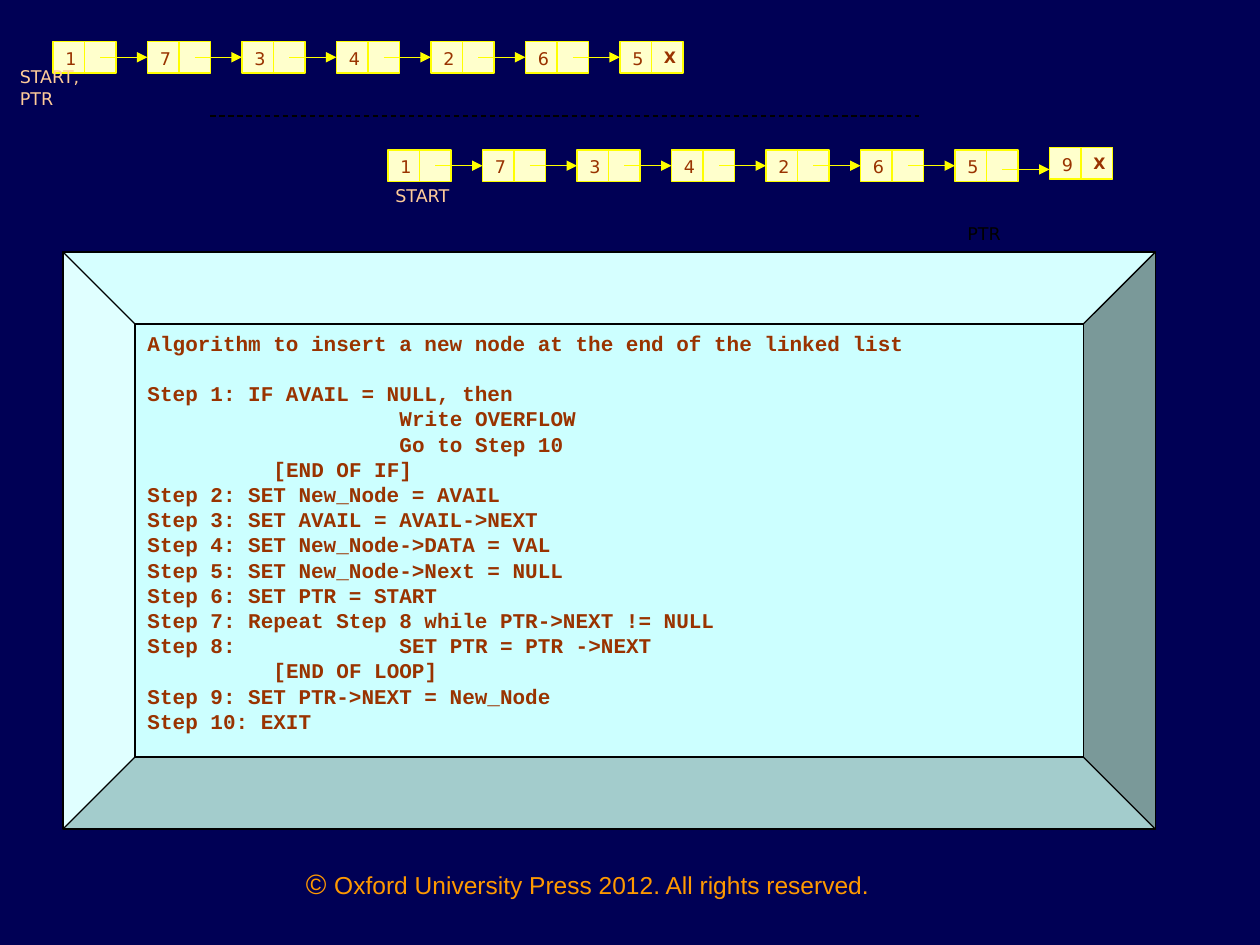
from lxml import etree
from pptx import Presentation
from pptx import util as u
from pptx.dml.color import RGBColor
from pptx.enum import dml, shapes, text
from pptx.oxml.ns import qn

HUES = {"back": "000055", "panel": "CCFFFF", "cell": "FFFFCC", "edge": "FFFF00",
        "ink": "993300", "label": "FFCC99", "foot": "FF9900", "black": "000000"}
CELL = 0.25
STEP = 3 * CELL
SANS = "DejaVu Sans"
STEPS = [
    "Algorithm to insert a new node at the end of the linked list",
    "Step 1: IF AVAIL = NULL, then",
    "\t\tWrite OVERFLOW",
    "\t\tGo to Step 10",
    "\t[END OF IF]",
    "Step 2: SET New_Node = AVAIL",
    "Step 3: SET AVAIL = AVAIL->NEXT",
    "Step 4: SET New_Node->DATA = VAL",
    "Step 5: SET New_Node->Next = NULL",
    "Step 6: SET PTR = START",
    "Step 7: Repeat Step 8 while PTR->NEXT != NULL",
    "Step 8: \t\tSET PTR = PTR ->NEXT",
    "\t[END OF LOOP]",
    "Step 9: SET PTR->NEXT = New_Node",
    "Step 10: EXIT",
]


def hue(name):
    return RGBColor.from_string(HUES[name])


def write(para, words, color, **form):
    run = para.add_run()
    run.text = words
    run.font.color.rgb = hue(color)
    for key, value in form.items():
        setattr(run.font, key, value)


def block(parent, kind, box, fill, edge):
    shape = parent.add_shape(kind, *map(u.Inches, box))
    shape.shadow.inherit = False
    shape.fill.solid()
    shape.fill.fore_color.rgb = hue(fill)
    shape.line.color.rgb = hue(edge)
    shape.line.width = u.Pt(0.75)
    shape.text_frame.vertical_anchor = text.MSO_ANCHOR.TOP
    shape.text_frame.paragraphs[0].alignment = text.PP_ALIGN.LEFT
    return shape


def cell(parent, left, top, words="", size=10, bold=False):
    shape = block(parent, shapes.MSO_SHAPE.RECTANGLE, (left, top, CELL, CELL), "cell", "edge")
    if words:
        shape.text_frame.word_wrap = False
        write(shape.text_frame.paragraphs[0], words, "ink",
              name=SANS, size=u.Pt(size), bold=bold)
    return shape


def line(parent, start, end, color):
    link = parent.add_connector(shapes.MSO_CONNECTOR.STRAIGHT, *map(u.Inches, start + end))
    link.line.color.rgb = hue(color)
    link.line.width = u.Pt(0.75)
    etree.SubElement(link._element.spPr, qn("a:effectLst"))
    return link


def arrow(parent, start, end):
    link = line(parent, start, end, "edge")
    etree.SubElement(link.line._get_or_add_ln(), qn("a:tailEnd"), type="triangle")
    return link


def chain(slide, left, top, data, shift=0.0, drop=0.0):
    """Draw a linked list; the last node moves by shift and its arrow by drop."""
    group = slide.shapes.add_group_shape().shapes
    last = len(data) - 1
    for i, value in enumerate(data):
        x = left + i * STEP
        y = top + (shift if i == last else 0)
        node = cell(group, x, y, value)
        if i == last:
            cell(group, x + CELL, y, "X", 9, True)
        else:
            cell(group, x + CELL, y)
        if i:
            mid = top + CELL / 2 + (drop if i == last else 0)
            link = arrow(group, (x - 1.5 * CELL, mid), (x, mid))
            if i < last or not drop:
                link.end_connect(node, 1)


def label(slide, box, parts, color, wrap=True, **form):
    """Add a text box; parts are pairs of words and point size."""
    frame = slide.shapes.add_textbox(*map(u.Inches, box)).text_frame
    frame.word_wrap = wrap
    frame.vertical_anchor = text.MSO_ANCHOR.MIDDLE
    for words, size in parts:
        write(frame.paragraphs[0], words, color, size=u.Pt(size), **form)
    return frame


def tabs(para):
    """Set a left tab stop at every inch."""
    stops = etree.SubElement(para._p.get_or_add_pPr(), qn("a:tabLst"))
    for inch in range(8):
        etree.SubElement(stops, qn("a:tab"), pos=str(u.Inches(inch)), algn="l")


def panel(slide):
    shape = block(slide.shapes, shapes.MSO_SHAPE.BEVEL, (0.5, 2, 8.67, 4.58), "panel", "black")
    frame = shape.text_frame
    for i, words in enumerate(STEPS):
        para = frame.add_paragraph() if i else frame.paragraphs[0]
        tabs(para)
        para.alignment = text.PP_ALIGN.LEFT
        para.line_spacing = u.Pt(14.4)
        if i == 1:
            para.space_before = u.Pt(14.4)
        write(para, words, "ink", name="Courier New", size=u.Pt(12), bold=True)


def main():
    deck = Presentation()
    deck.slide_width, deck.slide_height = u.Inches(10), u.Inches(7.5)
    slide = deck.slides.add_slide(deck.slide_layouts[6])
    slide.background.fill.solid()
    slide.background.fill.fore_color.rgb = hue("back")

    foot = label(slide, (2, 6.83, 5.33, 0.52),
                 [("© ", 16), ("Oxford University Press 2012. All rights reserved.", 14)],
                 "foot", name="Arial")
    foot.vertical_anchor = text.MSO_ANCHOR.TOP
    foot.paragraphs[0].alignment = text.PP_ALIGN.CENTER

    panel(slide)
    chain(slide, 0.42, 0.33, "1734265")
    label(slide, (0.06, 0.56, 0.9, 0.27), [("START, PTR", 10)], "label", name=SANS)
    rule = line(slide.shapes, (1.67, 0.92), (7.29, 0.92), "black")
    rule.line.dash_style = dml.MSO_LINE.DASH
    chain(slide, 3.08, 1.19, "17342659", shift=-0.02, drop=0.03)
    label(slide, (3.04, 1.42, 0.64, 0.27), [("START", 10)], "label", wrap=False, name=SANS)
    label(slide, (7.58, 1.72, 0.64, 0.27), [("PTR", 10)], "black", name=SANS)
    deck.save("out.pptx")


if __name__ == "__main__":
    main()
